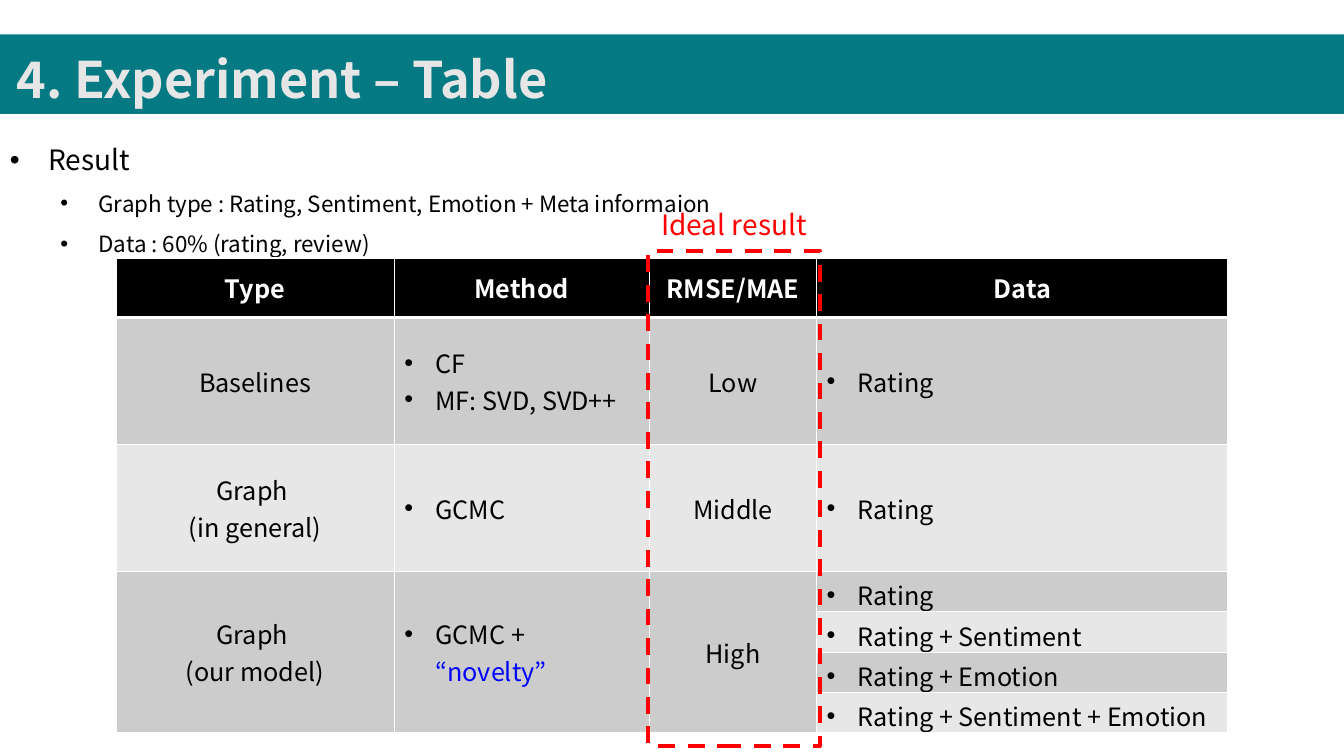
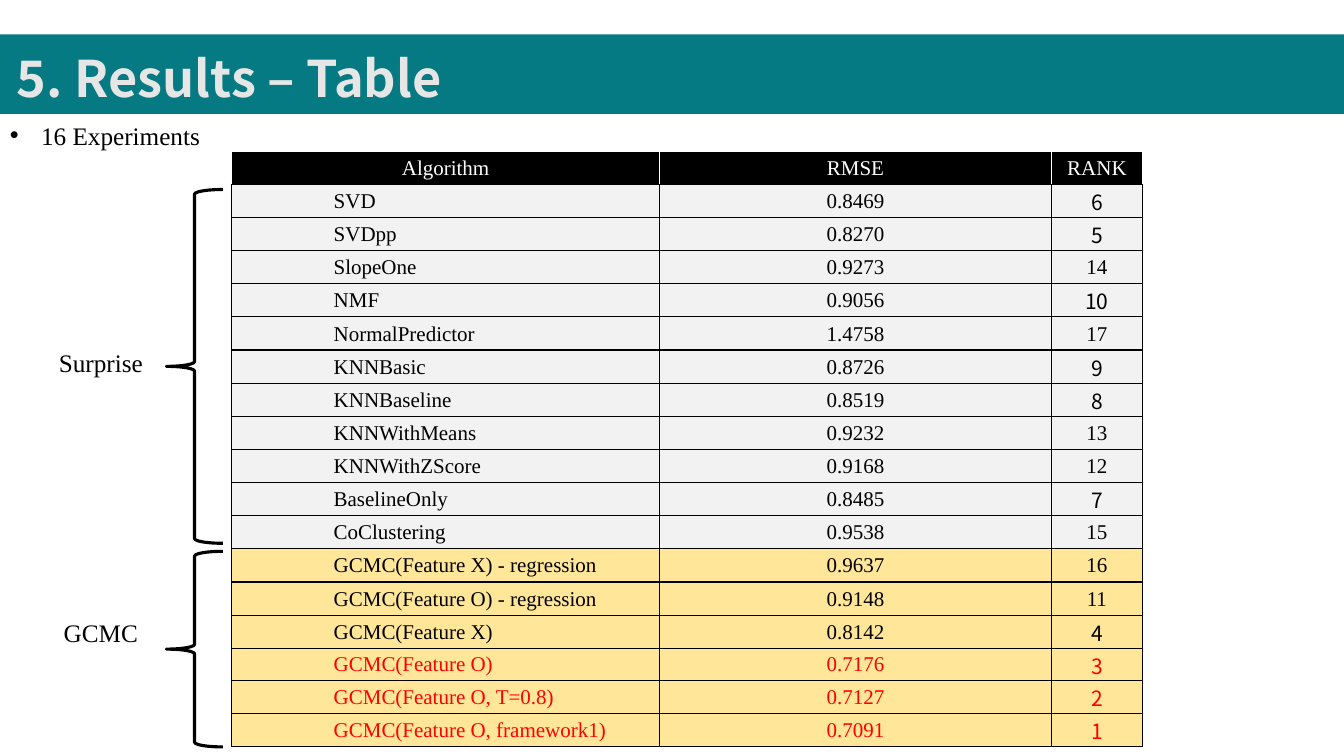
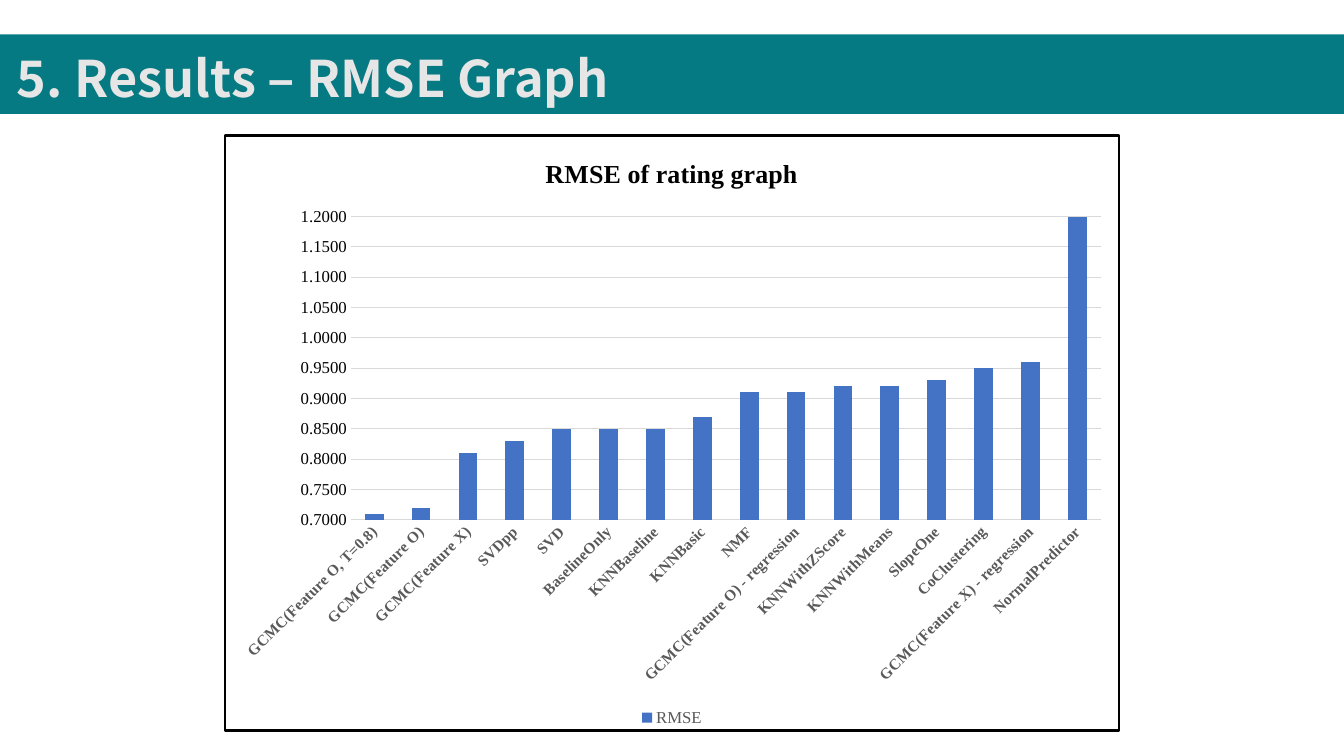
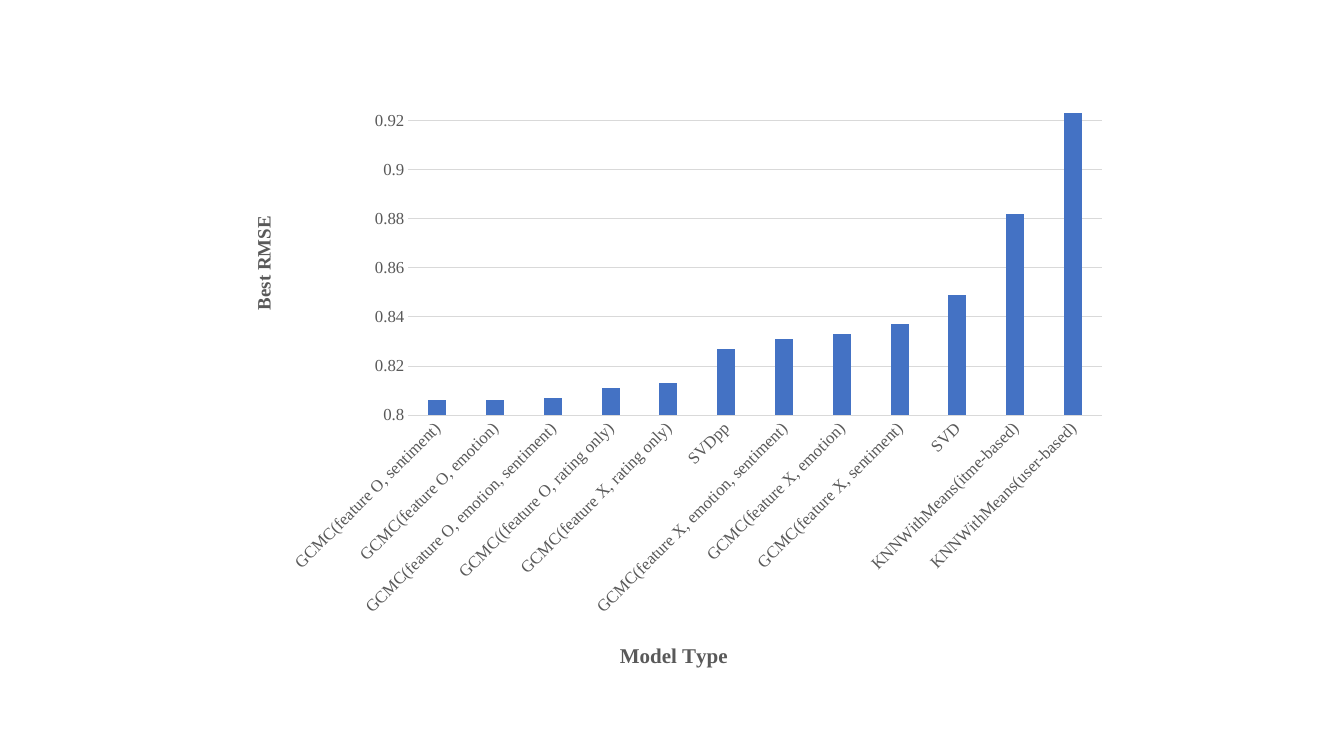
from lxml.etree import SubElement
from pptx import Presentation
from pptx.chart.data import CategoryChartData
from pptx.dml.color import RGBColor
from pptx.enum.chart import XL_CHART_TYPE, XL_LEGEND_POSITION, XL_TICK_MARK
from pptx.enum.dml import MSO_LINE
from pptx.enum.shapes import MSO_SHAPE
from pptx.enum.text import MSO_ANCHOR, MSO_AUTO_SIZE, PP_ALIGN
from pptx.oxml import parse_xml
from pptx.oxml.ns import nsdecls, qn
from pptx.util import Emu, Pt

# Shared look
SCALE = 9144  # EMU in one px
SLIDE_WIDTH, SLIDE_HEIGHT = 1333, 750
SANS, SERIF = "Noto Sans CJK KR", "Times New Roman"
TEAL = RGBColor(0x06, 0x7A, 0x82)
TITLE_GRAY = RGBColor(0xE7, 0xE6, 0xE6)
WHITE = RGBColor(0xFF, 0xFF, 0xFF)
BLACK = RGBColor(0x00, 0x00, 0x00)
RED = RGBColor(0xFF, 0x00, 0x00)
LINK_BLUE = RGBColor(0x00, 0x00, 0xFF)
DARK_ROW = RGBColor(0xCC, 0xCC, 0xCC)
LIGHT_ROW = RGBColor(0xE7, 0xE7, 0xE7)
PALE_GRAY = RGBColor(0xF2, 0xF2, 0xF2)
YELLOW = RGBColor(0xFF, 0xE6, 0x99)
BAR_BLUE = RGBColor(0x44, 0x72, 0xC4)
AXIS_GRAY = RGBColor(0x59, 0x59, 0x59)
GRID_GRAY = RGBColor(0xD9, 0xD9, 0xD9)

SURPRISE_RESULTS = [
    ("SVD", 0.8469), ("SVDpp", 0.8270), ("SlopeOne", 0.9273), ("NMF", 0.9056),
    ("NormalPredictor", 1.4758), ("KNNBasic", 0.8726), ("KNNBaseline", 0.8519),
    ("KNNWithMeans", 0.9232), ("KNNWithZScore", 0.9168),
    ("BaselineOnly", 0.8485), ("CoClustering", 0.9538),
]
GCMC_RESULTS = [
    ("GCMC(Feature X) - regression", 0.9637),
    ("GCMC(Feature O) - regression", 0.9148),
    ("GCMC(Feature X)", 0.8142), ("GCMC(Feature O)", 0.7176),
    ("GCMC(Feature O, T=0.8)", 0.7127), ("GCMC(Feature O, framework1)", 0.7091),
]
RANKED_RESULTS = sorted(SURPRISE_RESULTS + GCMC_RESULTS, key=lambda result: result[1])
BEST_RMSE = [
    ("GCMC(feature O, sentiment)", 0.806), ("GCMC(feature O, emotion)", 0.806),
    ("GCMC(feature O, emotion, sentiment)", 0.807),
    ("GCMC((feature O, rating only)", 0.811), ("GCMC(feature X, rating only)", 0.813),
    ("SVDpp", 0.827), ("GCMC(feature X, emotion, sentiment)", 0.831),
    ("GCMC(feature X, emotion)", 0.833), ("GCMC(feature X, sentiment)", 0.837),
    ("SVD", 0.849), ("KNNWithMeans(itme-based)", 0.882),
    ("KNNWithMeans(user-based)", 0.923),
]


def px(length):
    return Emu(length * SCALE)


def place(box):
    return [px(length) for length in box]


# Text
def style_font(font, size, name, color, bold=False):
    font.size, font.name, font.bold = Pt(size), name, bold
    font.color.rgb = color


def write_paragraph(frame, runs, size, name=SANS, color=BLACK, bold=False,
                    align=None, margin=0, bullet=False, hanging=0, spacing=None):
    """Add a paragraph; each run is a text or a (text, color) pair."""
    paragraph = frame.paragraphs[0]
    if paragraph.runs:
        paragraph = frame.add_paragraph()
    if margin:
        properties = paragraph._p.get_or_add_pPr()
        properties.set("marL", str(px(margin)))
        properties.set("indent", str(px(-hanging)))
        if bullet:
            SubElement(properties, qn("a:buFont"), typeface="Arial")
            SubElement(properties, qn("a:buChar"), char="•")
    if align is not None:
        paragraph.alignment = align
    if spacing:
        paragraph.line_spacing = spacing
    for item in runs:
        text, run_color = item if isinstance(item, tuple) else (item, color)
        run = paragraph.add_run()
        run.text = text
        style_font(run.font, size, name, run_color, bold)


def add_text_frame(slide, box, grow=True, anchor=MSO_ANCHOR.TOP):
    frame = slide.shapes.add_textbox(*place(box)).text_frame
    frame.word_wrap = True
    frame.auto_size = MSO_AUTO_SIZE.SHAPE_TO_FIT_TEXT if grow else MSO_AUTO_SIZE.NONE
    frame.vertical_anchor = anchor
    return frame


def add_label(slide, box, text, size, name, color=BLACK):
    write_paragraph(add_text_frame(slide, box), [text], size, name, color,
                    align=PP_ALIGN.CENTER)


# Shapes
def add_outline(slide, kind, box, color, width):
    shape = slide.shapes.add_shape(kind, *place(box))
    shape.shadow.inherit = False
    shape.fill.background()
    shape.line.color.rgb = color
    shape.line.width = Pt(width)
    return shape


def add_title_band(slide, title, title_top=16):
    band = slide.shapes.add_shape(MSO_SHAPE.RECTANGLE, *place((0, 34, SLIDE_WIDTH, 79)))
    band.shadow.inherit = False
    band.fill.solid()
    band.fill.fore_color.rgb = TEAL
    band.line.fill.background()
    frame = add_text_frame(slide, (7, title_top, 1327, 92), anchor=MSO_ANCHOR.MIDDLE)
    write_paragraph(frame, [title], 36, color=TITLE_GRAY, bold=True, spacing=1.5)


# Tables
def add_plain_table(slide, box, columns, row_heights):
    table = slide.shapes.add_table(len(row_heights), len(columns), *place(box)).table
    table.first_row = table.horz_banding = False
    for column, width in zip(table.columns, columns):
        column.width = px(width)
    for row, height in zip(table.rows, row_heights):
        row.height = height
    return table


def style_cell(cell, fill, sides, top, bottom):
    """Fill a cell; each border is a (color, points) pair."""
    cell.vertical_anchor = MSO_ANCHOR.MIDDLE
    cell.fill.solid()
    cell.fill.fore_color.rgb = fill
    properties = cell._tc.get_or_add_tcPr()
    borders = {"lnL": sides, "lnR": sides, "lnT": top, "lnB": bottom}
    for position, (tag, (color, width)) in enumerate(borders.items()):
        properties.insert(position, parse_xml(
            f'<a:{tag} {nsdecls("a")} w="{Pt(width)}"><a:solidFill>'
            f'<a:srgbClr val="{color}"/></a:solidFill></a:{tag}>'))


def add_method_table(slide, box):
    row_heights = [px(height) for height in [59, 126, 126] + [39] * 4]
    table = add_plain_table(slide, box, (276, 253, 166, 408), row_heights)
    rows = [
        (["Type"], ["Method"], ["RMSE/MAE"], ["Data"]),
        (["Baselines"], ["CF", "MF: SVD, SVD++"], ["Low"], ["Rating"]),
        (["Graph ", "(in general)"], ["GCMC"], ["Middle"], ["Rating"]),
        (["Graph ", "(our model)"], [["GCMC + ", ("“novelty”", LINK_BLUE)]],
         ["High"], ["Rating"]),
        ([], [], [], ["Rating + Sentiment"]),
        ([], [], [], ["Rating + Emotion"]),
        ([], [], [], ["Rating + Sentiment + Emotion"]),
    ]
    thin, thick = (WHITE, 1), (WHITE, 3)
    for row_index, row in enumerate(rows):
        header = row_index == 0
        fill = BLACK if header else DARK_ROW if row_index % 2 else LIGHT_ROW
        for column_index, lines in enumerate(row):
            cell = table.cell(row_index, column_index)
            style_cell(cell, fill, thin, thick if row_index == 1 else thin,
                       thick if header else thin)
            if not header and column_index in (1, 3):
                layout = dict(margin=31, hanging=31, bullet=True)
            else:
                layout = dict(align=PP_ALIGN.CENTER)
            for line in lines:
                write_paragraph(cell.text_frame, line if isinstance(line, list) else [line],
                                18, color=WHITE if header else BLACK, bold=header, **layout)
    for column_index in range(3):
        table.cell(3, column_index).merge(table.cell(6, column_index))


def add_result_table(slide, box):
    results = SURPRISE_RESULTS + GCMC_RESULTS
    # One row near the end is slightly lower than the others
    low_row, low_height = 15, px(32)
    row_heights = [(px(box[3]) - low_height) // len(results)] * (len(results) + 1)
    row_heights[low_row] = low_height
    table = add_plain_table(slide, box, (424, 389, 90), row_heights)
    rows = [("Algorithm", "RMSE", "RANK")]
    for result in results:
        rank = RANKED_RESULTS.index(result) + 1
        rows.append((result[0], f"{result[1]:.4f}", str(rank)))
    white, black = (WHITE, 1), (BLACK, 1)
    for row_index, row in enumerate(rows):
        header = row_index == 0
        rank = 0 if header else int(row[2])
        if header:
            fill, color = BLACK, WHITE
        else:
            fill = PALE_GRAY if row_index <= len(SURPRISE_RESULTS) else YELLOW
            color = RED if rank <= 3 else BLACK
        for column_index, text in enumerate(row):
            cell = table.cell(row_index, column_index)
            cell.margin_left = cell.margin_right = cell.margin_top = px(1)
            cell.margin_bottom = 0
            edge = white if header else black
            style_cell(cell, fill, edge, edge, black)
            sans = column_index == 2 and 1 <= rank <= 10
            if column_index == 0 and not header:
                layout = dict(margin=100)
            else:
                layout = dict(align=PP_ALIGN.CENTER)
            write_paragraph(cell.text_frame, [text], 15, SANS if sans else SERIF, color, **layout)


# Charts
def set_layout(parent, chart_box, left, top, width=None, height=None):
    """Fix the place of a chart part, in px from the corner of the chart."""
    layout = parent.find(qn("c:layout"))
    if layout is not None:
        parent.remove(layout)
    chart_width, chart_height = chart_box[2:]
    parts = [("xMode", "edge"), ("yMode", "edge"),
             ("x", left / chart_width), ("y", top / chart_height)]
    if width:
        parts = [("layoutTarget", "inner")] + parts
        parts += [("w", width / chart_width), ("h", height / chart_height)]
    values = "".join(f'<c:{tag} val="{value}"/>' for tag, value in parts)
    layout = parse_xml(f'<c:layout {nsdecls("c")}><c:manualLayout>{values}'
                       f'</c:manualLayout></c:layout>')
    text = parent.find(qn("c:tx"))
    if text is not None:
        text.addnext(layout)
    else:
        parent.insert(0, layout)


def write_chart_title(title, text, size, color):
    run = title.text_frame.paragraphs[0].add_run()
    run.text = text
    style_font(run.font, size, SERIF, color, True)


def add_column_chart(slide, box, name, results, limits, plot, gap, overlap=0,
                     number_format="General", category_font=(12, False), value_color=AXIS_GRAY):
    data = CategoryChartData()
    data.categories = [label for label, value in results]
    data.add_series(name, [value for label, value in results])
    chart = slide.shapes.add_chart(XL_CHART_TYPE.COLUMN_CLUSTERED, *place(box), data).chart
    style_font(chart.font, 10, SERIF, BLACK)
    chart.has_title = chart.has_legend = False
    bars = chart.plots[0]
    bars.gap_width, bars.overlap, bars.vary_by_categories = gap, overlap, False
    series_fill = bars.series[0].format.fill
    series_fill.solid()
    series_fill.fore_color.rgb = BAR_BLUE

    categories, values = chart.category_axis, chart.value_axis
    categories.major_tick_mark = values.major_tick_mark = XL_TICK_MARK.NONE
    size, bold = category_font
    style_font(categories.tick_labels.font, size, SERIF, AXIS_GRAY, bold)
    style_font(values.tick_labels.font, 12, SERIF, value_color)
    values.minimum_scale, values.maximum_scale, values.major_unit = limits
    values.tick_labels.number_format = number_format
    values.tick_labels.number_format_is_linked = False
    values.format.line.fill.background()
    for line in (categories.format.line, values.major_gridlines.format.line):
        line.color.rgb = GRID_GRAY
        line.width = Pt(0.75)
    # Slanted category labels
    chart.element.xpath(".//c:catAx/c:txPr/a:bodyPr")[0].set("rot", "-2700000")
    set_layout(chart.element.xpath(".//c:plotArea")[0], box, *plot)
    return chart


def add_rating_chart(slide, box):
    shown = [(label, round(value, 2)) for label, value in RANKED_RESULTS
             if "framework1" not in label]
    chart = add_column_chart(slide, box, "RMSE", shown, (0.7, 1.2, 0.05),
                             (125, 81, 746, 302), 150, number_format="0.0000",
                             category_font=(11, True), value_color=BLACK)
    chart.has_title = True
    write_chart_title(chart.chart_title, "RMSE of rating graph", 18.6, BLACK)
    set_layout(chart.element.xpath("./c:chart/c:title")[0], box, 314, 17)
    chart.has_legend = True
    chart.legend.position = XL_LEGEND_POSITION.BOTTOM
    chart.legend.include_in_layout = False
    style_font(chart.legend.font, 12, SERIF, AXIS_GRAY)
    # Black frame
    chart.element.find(qn("c:chart")).addnext(parse_xml(
        f'<c:spPr {nsdecls("c", "a")}><a:solidFill><a:srgbClr val="{WHITE}"/></a:solidFill>'
        f'<a:ln w="{Pt(1.75)}"><a:solidFill><a:srgbClr val="{BLACK}"/></a:solidFill></a:ln>'
        f'</c:spPr>'))


def add_model_chart(slide, box):
    chart = add_column_chart(slide, box, "Series 1", BEST_RMSE, (0.8, 0.93, 0.02),
                             (183, 12, 688, 317), 219, -27)
    write_chart_title(chart.category_axis.axis_title, "Model Type", 15, AXIS_GRAY)
    write_chart_title(chart.value_axis.axis_title, "Best RMSE", 13.5, AXIS_GRAY)
    set_layout(chart.element.xpath(".//c:catAx/c:title")[0], box, 389, 550)
    value_title = chart.element.xpath(".//c:valAx/c:title")[0]
    set_layout(value_title, box, 24, 128)
    value_title.xpath(".//a:bodyPr")[0].set("rot", "-5400000")


# Slides
def build_experiment_slide(slide):
    add_title_band(slide, "4. Experiment – Table", 17)
    frame = add_text_frame(slide, (0, 120, SLIDE_WIDTH, 630), grow=False)
    for text, size, margin in [
        ("Result", 20, 38),
        ("Graph type : Rating, Sentiment, Emotion + Meta informaion", 16, 88),
        ("Data : 60% (rating, review)", 16, 88),
    ]:
        write_paragraph(frame, [text], size, margin=margin, hanging=38, bullet=True, spacing=1.5)
    add_method_table(slide, (115, 256, 1103, 470))
    highlight = add_outline(slide, MSO_SHAPE.RECTANGLE, (643, 249, 170, 491), RED, 3)
    highlight.line.dash_style = MSO_LINE.DASH
    add_label(slide, (638, 201, 180, 44), "Ideal result", 20, SANS, RED)


def build_result_slide(slide):
    add_title_band(slide, "5. Results – Table")
    for label, label_top, brace_top, brace_height in [
        ("Surprise", 340, 188, 351), ("GCMC", 608, 547, 194),
    ]:
        add_outline(slide, MSO_SHAPE.LEFT_BRACE, (165, brace_top, 56, brace_height), BLACK, 2.25)
        add_label(slide, (44, label_top, 112, 40), label, 18, SERIF)
    add_result_table(slide, (230, 150, 903, 591))
    frame = add_text_frame(slide, (0, 114, 230, 40))
    write_paragraph(frame, ["16 Experiments"], 18, SERIF, margin=31, hanging=31, bullet=True)


def build_graph_slide(slide):
    add_title_band(slide, "5. Results – RMSE Graph")
    add_rating_chart(slide, (222, 133, 889, 593))


def build_model_slide(slide):
    add_model_chart(slide, (222, 83, 889, 593))


def main():
    presentation = Presentation()
    presentation.slide_width, presentation.slide_height = px(SLIDE_WIDTH), px(SLIDE_HEIGHT)
    blank = presentation.slide_layouts[6]
    for build in (build_experiment_slide, build_result_slide,
                  build_graph_slide, build_model_slide):
        build(presentation.slides.add_slide(blank))
    presentation.save("out.pptx")


if __name__ == "__main__":
    main()
